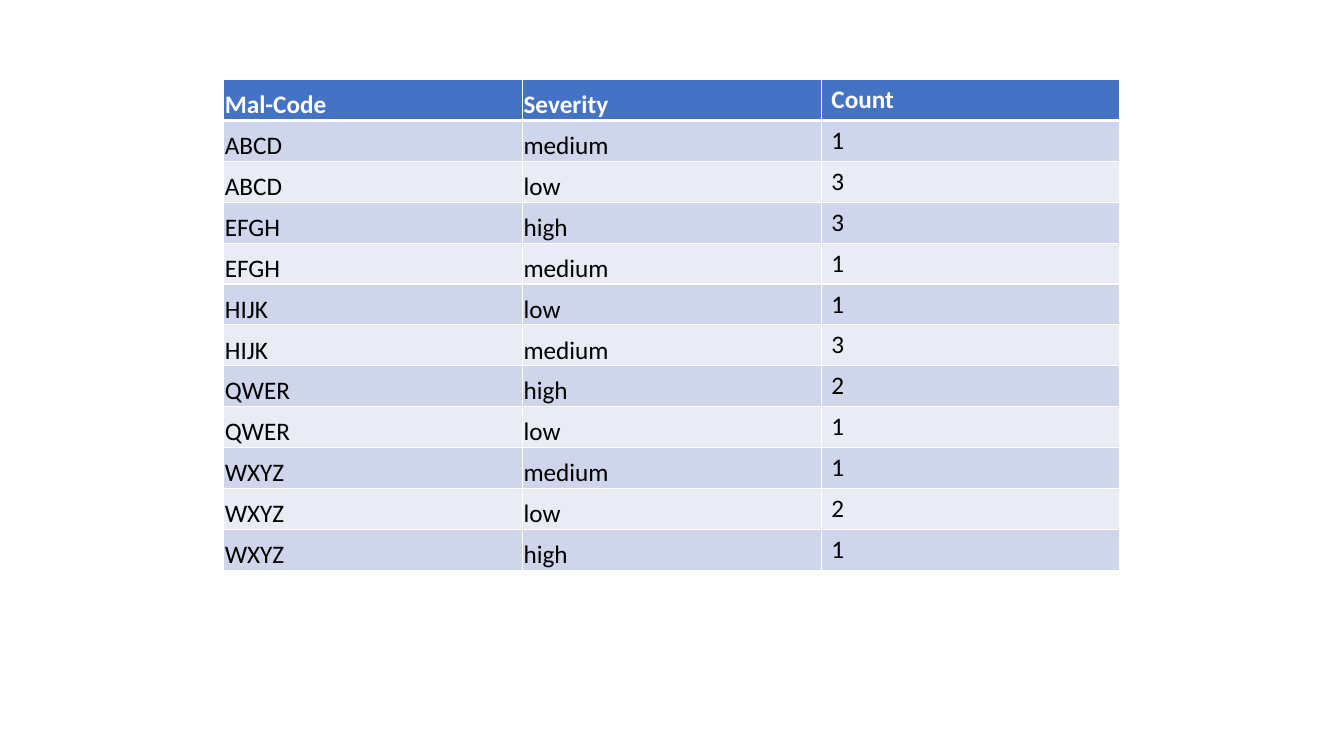
from lxml import etree
from pptx import Presentation
from pptx import util as u
from pptx.dml.color import RGBColor
from pptx.enum import text
from pptx.oxml import ns

COLORS = {"header": "4472C4", "odd": "CFD5EA", "even": "E9EBF5",
          "white": "FFFFFF", "black": "000000"}
HEADINGS = ("Mal-Code", "Severity", "Count")
RECORDS = [
    ("ABCD", "medium", 1), ("ABCD", "low", 3),
    ("EFGH", "high", 3), ("EFGH", "medium", 1),
    ("HIJK", "low", 1), ("HIJK", "medium", 3),
    ("QWER", "high", 2), ("QWER", "low", 1),
    ("WXYZ", "medium", 1), ("WXYZ", "low", 2), ("WXYZ", "high", 1),
]


def write(frame, words, size=18, color="black", bold=False, font="Calibri"):
    """Put formatted text in a cell's text frame."""
    span = frame.paragraphs[0].add_run()
    span.text = words
    span.font.name = font
    span.font.size = u.Pt(size)
    span.font.bold = bold
    span.font.color.rgb = RGBColor.from_string(COLORS[color])


def set_borders(cell, **widths):
    """Draw white borders; each side's width is in points."""
    properties = cell._tc.get_or_add_tcPr()
    for place, side in enumerate("LRTB"):
        line = etree.Element(ns.qn(f"a:ln{side}"), w=str(u.Pt(widths.get(side, 1))))
        fill = etree.SubElement(line, ns.qn("a:solidFill"))
        etree.SubElement(fill, ns.qn("a:srgbClr"), val=COLORS["white"])
        properties.insert(place, line)


def add_severity_table(page, left, top, width, height):
    """Fill the given box with the malicious code counts."""
    rows = [HEADINGS, *RECORDS]
    table = page.shapes.add_table(
        len(rows), len(HEADINGS), u.Inches(left), u.Inches(top),
        u.Inches(width), u.Inches(height)).table

    for row, values in enumerate(rows):
        is_header = row == 0
        band = "header" if is_header else ("even", "odd")[row % 2]
        for column, value in enumerate(values):
            cell = table.cell(row, column)
            cell.fill.solid()
            cell.fill.fore_color.rgb = RGBColor.from_string(COLORS[band])
            # Thick rule between the header and the records
            set_borders(cell, T=3 if row == 1 else 1, B=3 if is_header else 1)
            # Code and severity sit tight at the bottom of their cells
            if HEADINGS[column] != "Count":
                cell.vertical_anchor = text.MSO_ANCHOR.BOTTOM
                cell.margin_left = cell.margin_right = cell.margin_top = u.Inches(0.01)
                cell.margin_bottom = 0
            write(cell.text_frame, str(value), bold=is_header,
                  color="white" if is_header else "black")


deck = Presentation()
deck.slide_width, deck.slide_height = u.Inches(13.33), u.Inches(7.5)
page = deck.slides.add_slide(deck.slide_layouts[6])
add_severity_table(page, left=2.22, top=0.79, width=8.89, height=4.87)
deck.save("out.pptx")
